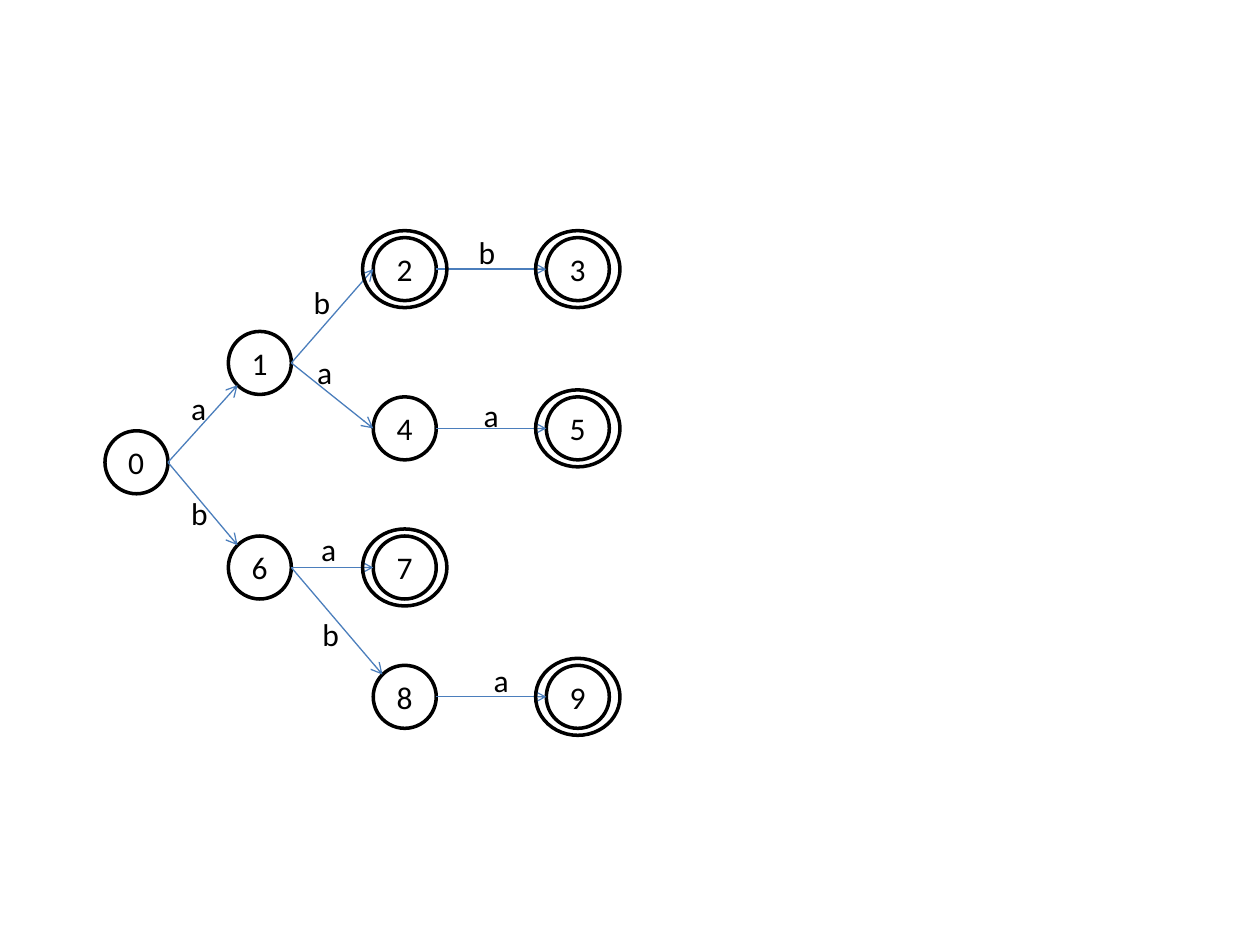
from math import cos, radians, sin

from lxml.etree import SubElement
from pptx import Presentation
from pptx.dml.color import RGBColor
from pptx.enum.shapes import MSO_CONNECTOR as Connector
from pptx.enum.shapes import MSO_SHAPE as Shape
from pptx.enum.text import MSO_AUTO_SIZE as AutoSize
from pptx.oxml.ns import qn
from pptx.util import Pt

COLORS = {"ink": "000000", "arrow": "4B7EBC"}
FONT = "Calibri"
RADIUS = 18
RING_WIDTH, RING_HEIGHT = 48.2, 44

COLUMNS = [18, 88.5, 171.3, 270.2]
ROWS = [22.8, 76.4, 113.8, 133.2, 193.3, 267.2]

STATES = {
    "0": (0, 3),
    "2": (2, 0),
    "1": (1, 1),
    "8": (2, 5),
    "9": (3, 5),
    "4": (2, 2),
    "3": (3, 0),
    "6": (1, 4),
    "5": (3, 2),
    "7": (2, 4),
}
ACCEPTING = "37592"

LEFT, TOP_LEFT, BOTTOM_LEFT = 180, 225, 135
TRANSITIONS = [
    ("0", "1", BOTTOM_LEFT, "a", 42.2, 87.9),
    ("0", "6", TOP_LEFT, "b", 42.2, 147.6),
    ("1", "2", LEFT, "b", 112.1, 27.4),
    ("1", "4", LEFT, "a", 114.2, 67),
    ("2", "3", LEFT, "b", 206.4, -1.4),
    ("4", "5", LEFT, "a", 209.3, 91.5),
    ("6", "7", LEFT, "a", 116.4, 168.5),
    ("6", "8", TOP_LEFT, "b", 117.1, 216.8),
    ("8", "9", LEFT, "a", 215, 243.4),
]
LABEL_HEIGHTS = {"a": 24, "b": 29}


def color(name):
    return RGBColor.from_string(COLORS[name])


def add_ellipse(shapes, center, width, height):
    x, y = center
    shape = shapes.add_shape(
        Shape.OVAL, Pt(x - width / 2), Pt(y - height / 2), Pt(width), Pt(height)
    )
    shape.shadow.inherit = False
    shape.fill.background()
    shape.line.color.rgb = color("ink")
    shape.line.width = Pt(2)


def add_text(shapes, text, left, top, width, height, wrap):
    box = shapes.add_textbox(Pt(left), Pt(top), Pt(width), Pt(height))
    frame = box.text_frame
    frame.text = text
    frame.word_wrap = wrap
    frame.auto_size = AutoSize.SHAPE_TO_FIT_TEXT
    font = frame.paragraphs[0].runs[0].font
    font.name = FONT
    font.size = Pt(18)
    font.color.rgb = color("ink")


def add_state(slide, name, center):
    x, y = center
    group = slide.shapes.add_group_shape()
    add_ellipse(group.shapes, center, 2 * RADIUS, 2 * RADIUS)
    add_text(group.shapes, name, x - 11.8, y - 14.5, 23.6, 29, False)


def add_arrow(slide, start, end):
    connector = slide.shapes.add_connector(
        Connector.STRAIGHT, *(Pt(value) for value in (*start, *end))
    )
    connector.line.color.rgb = color("arrow")
    connector.line.width = Pt(0.75)
    SubElement(connector.line._get_or_add_ln(), qn("a:tailEnd"), type="arrow")
    SubElement(connector._element.spPr, qn("a:effectLst"))


def rim_point(center, degrees):
    angle = radians(degrees)
    return center[0] + RADIUS * cos(angle), center[1] + RADIUS * sin(angle)


def add_automaton(slide, left, top):
    centers = {
        name: (left + COLUMNS[column], top + ROWS[row])
        for name, (column, row) in STATES.items()
    }
    for name, center in centers.items():
        add_state(slide, name, center)
    for source, target, side, *_ in TRANSITIONS:
        add_arrow(slide, rim_point(centers[source], 0), rim_point(centers[target], side))
    for *_, symbol, x, y in TRANSITIONS:
        add_text(slide.shapes, symbol, left + x, top + y, 22.3, LABEL_HEIGHTS[symbol], True)
    for name in ACCEPTING:
        add_ellipse(slide.shapes, centers[name], RING_WIDTH, RING_HEIGHT)


def main():
    presentation = Presentation()
    presentation.slide_width = Pt(720)
    presentation.slide_height = Pt(540)
    slide = presentation.slides.add_slide(presentation.slide_layouts[6])
    add_automaton(slide, 60, 131)
    presentation.save("out.pptx")


if __name__ == "__main__":
    main()
